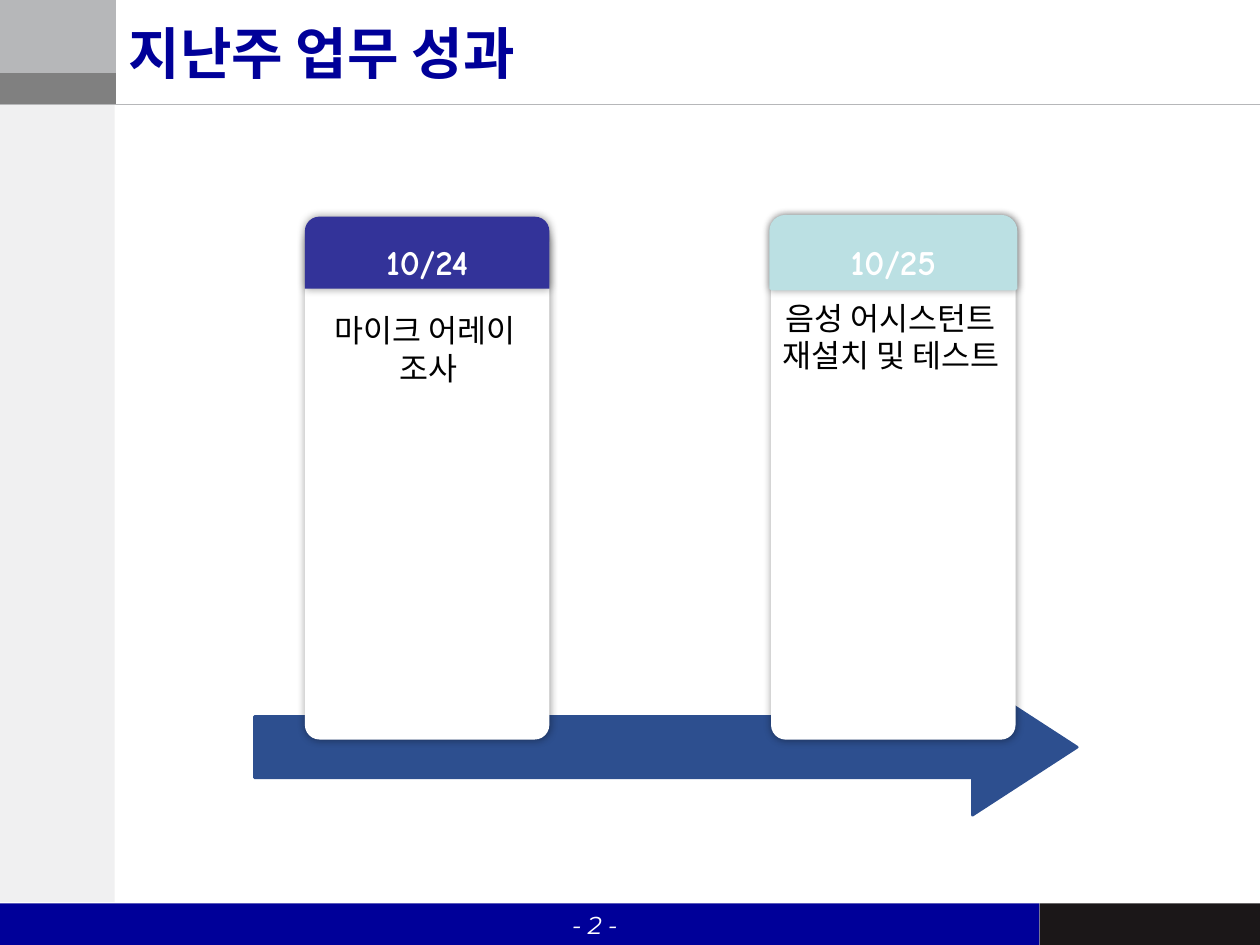
import pptx
import pptx.util
import pptx.oxml.ns
from lxml import etree
from pptx.dml.color import RGBColor
from pptx.enum.shapes import MSO_CONNECTOR, MSO_SHAPE
from pptx.enum.text import MSO_ANCHOR, PP_ALIGN
from pptx.util import Inches, Pt

NAVY = RGBColor(0x00, 0x00, 0x99)
INDIGO = RGBColor(0x33, 0x33, 0x99)
AQUA = RGBColor(0xBB, 0xE0, 0xE3)
STEEL = RGBColor(0x2D, 0x4F, 0x8F)
PALE = RGBColor(0xF0, 0xF0, 0xF1)
SILVER = RGBColor(0xB6, 0xB7, 0xB9)
GRAY = RGBColor(0x80, 0x80, 0x80)
INK = RGBColor(0x1B, 0x17, 0x18)
WHITE = RGBColor(0xFF, 0xFF, 0xFF)
BLACK = RGBColor(0x00, 0x00, 0x00)

HEADING_FONT = "Comic Neue"
BODY_FONT = "Noto Sans CJK KR"
PAGE_FONT = "Montserrat"

TITLE = "지난주 업무 성과"
PAGE_NUMBER = "- 2 -"
FRAME = [  # left, top, width, height, colour
    (0, 0.83, 0.91, 6.33, PALE),
    (0, 0, 0.92, 0.58, SILVER),
    (0, 0.58, 0.92, 0.25, GRAY),
    (0, 7.17, 8.25, 0.33, NAVY),
    (8.25, 7.17, 1.75, 0.33, INK),
]
DAYS = [
    {"date": "10/24", "tasks": ["마이크 어레이", " 조사"], "left": 2.42,
     "card_top": 1.81, "tasks_top": 2.42, "tasks_height": 2.83,
     "color": INDIGO, "outline": None},
    {"date": "10/25", "tasks": ["음성 어시스턴트 재설치 및 테스트"], "left": 6.12,
     "card_top": 1.72, "tasks_top": 2.32, "tasks_height": 2.22,
     "color": AQUA, "outline": 2},
]
CARD_WIDTH, CARD_BOTTOM = 1.94, 5.87
HEADER_TOP, HEADER_HEIGHT = 1.72, 0.57
DATE_TOP, DATE_WIDTH, DATE_HEIGHT = 1.86, 1.03, 0.44


def add_block(slide, preset, box, color, adjustments=(), outline=None):
    block = slide.shapes.add_shape(preset, *map(Inches, box))
    block.shadow.inherit = False
    block.fill.solid()
    block.fill.fore_color.rgb = color
    if outline:
        block.line.color.rgb = color
        block.line.width = Pt(outline)
    else:
        block.line.fill.background()
    for index, value in enumerate(adjustments):
        block.adjustments[index] = value
    return block


def add_glow_shadow(block):
    """Give the block a soft black shadow spread evenly on all sides."""
    qn = pptx.oxml.ns.qn
    effects = block._element.spPr.find(qn("a:effectLst"))
    shadow = etree.SubElement(effects, qn("a:outerShdw"), blurRad=str(Pt(5)),
                              dist="0", dir="0", algn="ctr", rotWithShape="0")
    color = etree.SubElement(shadow, qn("a:srgbClr"), val="000000")
    etree.SubElement(color, qn("a:alpha"), val="40000")


def set_font(paragraph, name, size, color, bold=False, italic=False):
    font = paragraph.font
    font.name, font.size = name, Pt(size)
    font.bold, font.italic = bold, italic
    font.color.rgb = color


def add_text(slide, box, lines, align, *font, **style):
    frame = slide.shapes.add_textbox(*map(Inches, box)).text_frame
    frame.word_wrap = True
    frame.text = "\n".join(lines)
    for paragraph in frame.paragraphs:
        paragraph.alignment = align
        set_font(paragraph, *font, **style)


def add_frame(slide):
    for *box, color in FRAME:
        add_block(slide, MSO_SHAPE.RECTANGLE, box, color)
    rule = slide.shapes.add_connector(
        MSO_CONNECTOR.STRAIGHT, 0, Inches(0.83), Inches(10), Inches(0.83))
    rule.line.color.rgb = SILVER
    rule.line.width = Pt(0.75)
    etree.SubElement(rule._element.spPr, pptx.oxml.ns.qn("a:effectLst"))
    add_text(slide, (4.17, 7.17, 0.83, 0.33), [PAGE_NUMBER], PP_ALIGN.RIGHT,
             PAGE_FONT, 14, WHITE, italic=True)


def add_title(slide):
    title = slide.shapes.title
    title.left, title.top = Inches(0.92), Inches(0.06)
    title.width, title.height = Inches(8.41), Inches(0.71)
    title.text_frame.text = TITLE
    title.text_frame.vertical_anchor = MSO_ANCHOR.MIDDLE
    heading = title.text_frame.paragraphs[0]
    heading.alignment = PP_ALIGN.LEFT
    set_font(heading, HEADING_FONT, 32, NAVY, bold=True)


def add_day(slide, day):
    left, top = day["left"], day["card_top"]
    card = add_block(slide, MSO_SHAPE.ROUNDED_RECTANGLE,
                     (left, top, CARD_WIDTH, CARD_BOTTOM - top), WHITE, [0.06])
    header = add_block(slide, MSO_SHAPE.ROUND_2_SAME_RECTANGLE,
                       (left, HEADER_TOP, CARD_WIDTH, HEADER_HEIGHT),
                       day["color"], [0.2, 0], day["outline"])
    for block in (card, header):
        add_glow_shadow(block)
    date_left = left + (CARD_WIDTH - DATE_WIDTH) / 2
    add_text(slide, (date_left, DATE_TOP, DATE_WIDTH, DATE_HEIGHT), [day["date"]],
             PP_ALIGN.CENTER, HEADING_FONT, 20, WHITE, bold=True)
    add_text(slide, (left - 0.02, day["tasks_top"], CARD_WIDTH, day["tasks_height"]),
             day["tasks"], PP_ALIGN.CENTER, BODY_FONT, 18, BLACK)


def main():
    deck = pptx.Presentation()
    deck.slide_width, deck.slide_height = Inches(10), Inches(7.5)
    slide = deck.slides.add_slide(deck.slide_layouts[5])
    add_frame(slide)
    add_title(slide)
    add_block(slide, MSO_SHAPE.RIGHT_ARROW, (2.02, 5.39, 6.53, 1.08), STEEL,
              [0.45, 0.77], 1.5)
    for day in DAYS:
        add_day(slide, day)
    deck.save("out.pptx")


if __name__ == "__main__":
    main()
